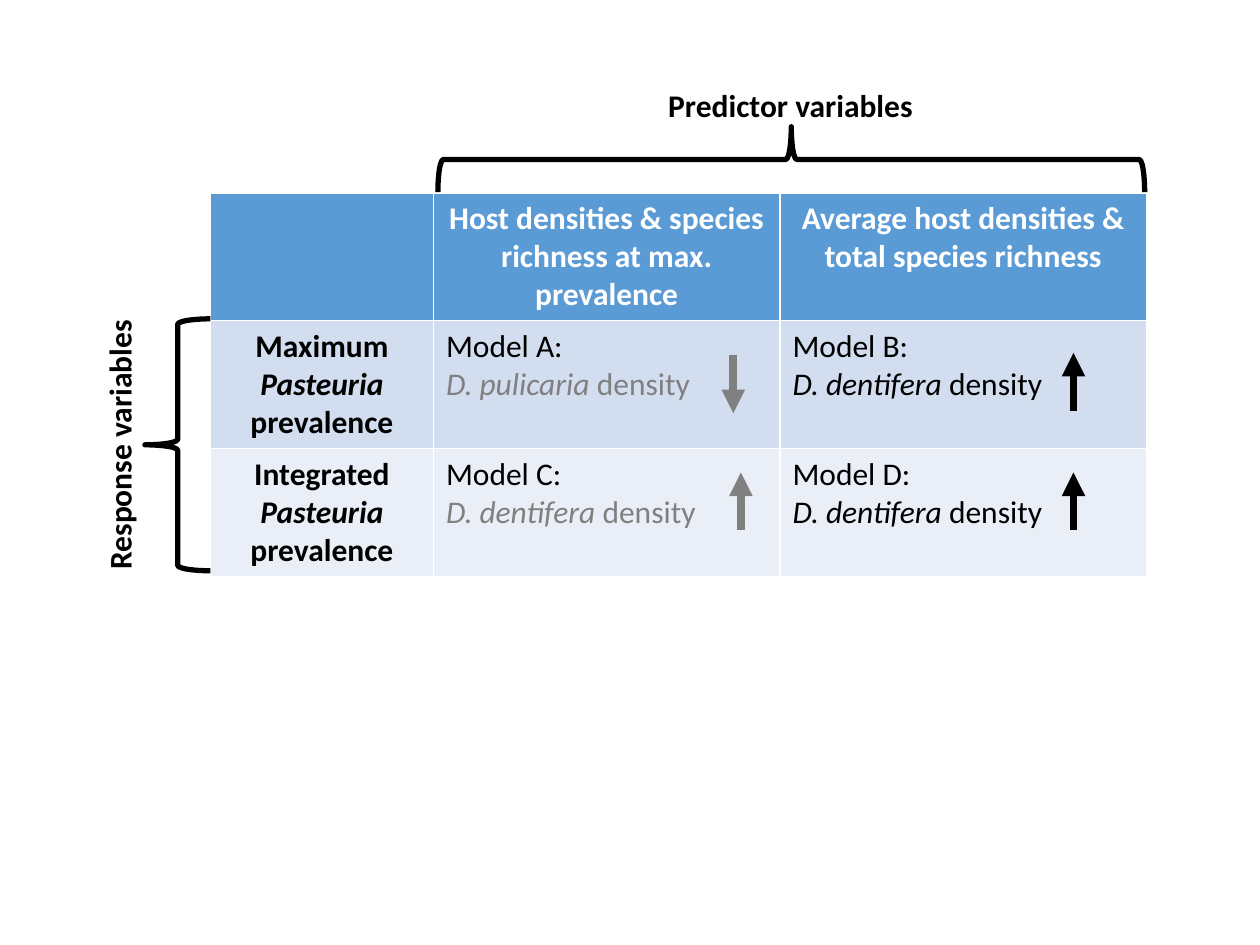
from lxml.etree import SubElement
from pptx import Presentation
from pptx.dml.color import RGBColor
from pptx.enum.shapes import MSO_CONNECTOR, MSO_SHAPE
from pptx.enum.text import MSO_AUTO_SIZE, PP_ALIGN
from pptx.oxml.ns import qn
from pptx.util import Inches, Pt

BLACK, GREY, WHITE = "000000", "808080", "FFFFFF"
ROW_FILLS = ["5B9BD5", "D2DEEF", "EAEFF7"]
COLUMN_WIDTHS = [1.77, 2.75, 2.91]
ROW_HEIGHT = 0.97


def color(hex_value):
    return RGBColor.from_string(hex_value)


def add_runs(paragraph, runs, align=PP_ALIGN.LEFT):
    """Each run is a pair of text and the font values that differ."""
    paragraph.alignment = align
    for text, changes in runs:
        values = {"name": "Calibri", "size": Pt(18), "bold": False,
                  "italic": False, "color": BLACK, **changes}
        run = paragraph.add_run()
        run.text = text
        run.font.color.rgb = color(values.pop("color"))
        for key, value in values.items():
            setattr(run.font, key, value)


def header(text):
    return [([(text, {"bold": True, "color": WHITE})], PP_ALIGN.CENTER)]


def response(measure):
    bold = {"bold": True}
    return [([(measure + " ", bold), ("Pasteuria", {**bold, "italic": True}),
              (" prevalence", bold)], PP_ALIGN.CENTER)]


def model(letter, species, tone):
    return [([(f"Model {letter}:", {})], PP_ALIGN.LEFT),
            ([(species + " ", {"italic": True, "color": tone}),
              ("density", {"color": tone})], PP_ALIGN.LEFT)]


def add_model_table(slide, rows):
    table = slide.shapes.add_table(
        len(rows), len(COLUMN_WIDTHS), Inches(1.67), Inches(1.53),
        Inches(sum(COLUMN_WIDTHS)), Inches(ROW_HEIGHT * len(rows))).table
    for column, width in zip(table.columns, COLUMN_WIDTHS):
        column.width = Inches(width)
    for r, (contents, fill) in enumerate(zip(rows, ROW_FILLS)):
        for c, paragraphs in enumerate(contents):
            cell = table.cell(r, c)
            cell.fill.solid()
            cell.fill.fore_color.rgb = color(fill)
            frame = cell.text_frame
            for i, (runs, align) in enumerate(paragraphs):
                paragraph = frame.add_paragraph() if i else frame.paragraphs[0]
                add_runs(paragraph, runs, align)


def add_brace(slide, left, top, width, height, rotation):
    brace = slide.shapes.add_shape(
        MSO_SHAPE.RIGHT_BRACE, *map(Inches, (left, top, width, height)))
    brace.rotation = rotation
    brace.shadow.inherit = False
    brace.fill.background()
    brace.line.color.rgb = color(BLACK)
    brace.line.width = Pt(3)


def add_label(slide, text, left, top, width, rotation=0):
    label = slide.shapes.add_textbox(
        *map(Inches, (left, top, width, 0.4)))
    label.rotation = rotation
    label.text_frame.word_wrap = True
    label.text_frame.auto_size = MSO_AUTO_SIZE.SHAPE_TO_FIT_TEXT
    add_runs(label.text_frame.paragraphs[0], [(text, {"bold": True})],
             PP_ALIGN.CENTER)


def add_effect_arrow(slide, x, start, end, tone):
    arrow = slide.shapes.add_connector(
        MSO_CONNECTOR.STRAIGHT, *map(Inches, (x, start, x, end)))
    arrow.line.color.rgb = color(tone)
    arrow.line.width = Pt(4.5)
    properties = arrow.element.spPr
    SubElement(properties.find(qn("a:ln")), qn("a:tailEnd"), type="triangle")
    SubElement(properties, qn("a:effectLst"))


def main():
    prs = Presentation()
    prs.slide_width, prs.slide_height = Inches(10), Inches(7.5)
    slide = prs.slides.add_slide(prs.slide_layouts[6])

    # Models by response and predictor
    add_model_table(slide, [
        [[], header("Host densities & species richness at max. prevalence"),
         header("Average host densities & total species richness")],
        [response("Maximum"), model("A", "D. pulicaria", GREY),
         model("B", "D. dentifera", BLACK)],
        [response("Integrated"), model("C", "D. dentifera", GREY),
         model("D", "D. dentifera", BLACK)],
    ])

    # Variable groups
    add_brace(slide, 6.02, -1.54, 0.52, 5.61, 270)
    add_label(slide, "Predictor variables", 4.26, 0.63, 4.03)
    add_brace(slide, 1.15, 2.53, 0.52, 2, 180)
    add_label(slide, "Response variables", -0.37, 3.33, 2.63, 270)

    # Direction of each effect
    for x, start, end, tone in [(5.82, 2.82, 3.28, GREY),
                                (5.88, 4.21, 3.75, GREY),
                                (8.52, 4.21, 3.75, BLACK),
                                (8.52, 3.26, 2.8, BLACK)]:
        add_effect_arrow(slide, x, start, end, tone)

    prs.save("out.pptx")


main()
